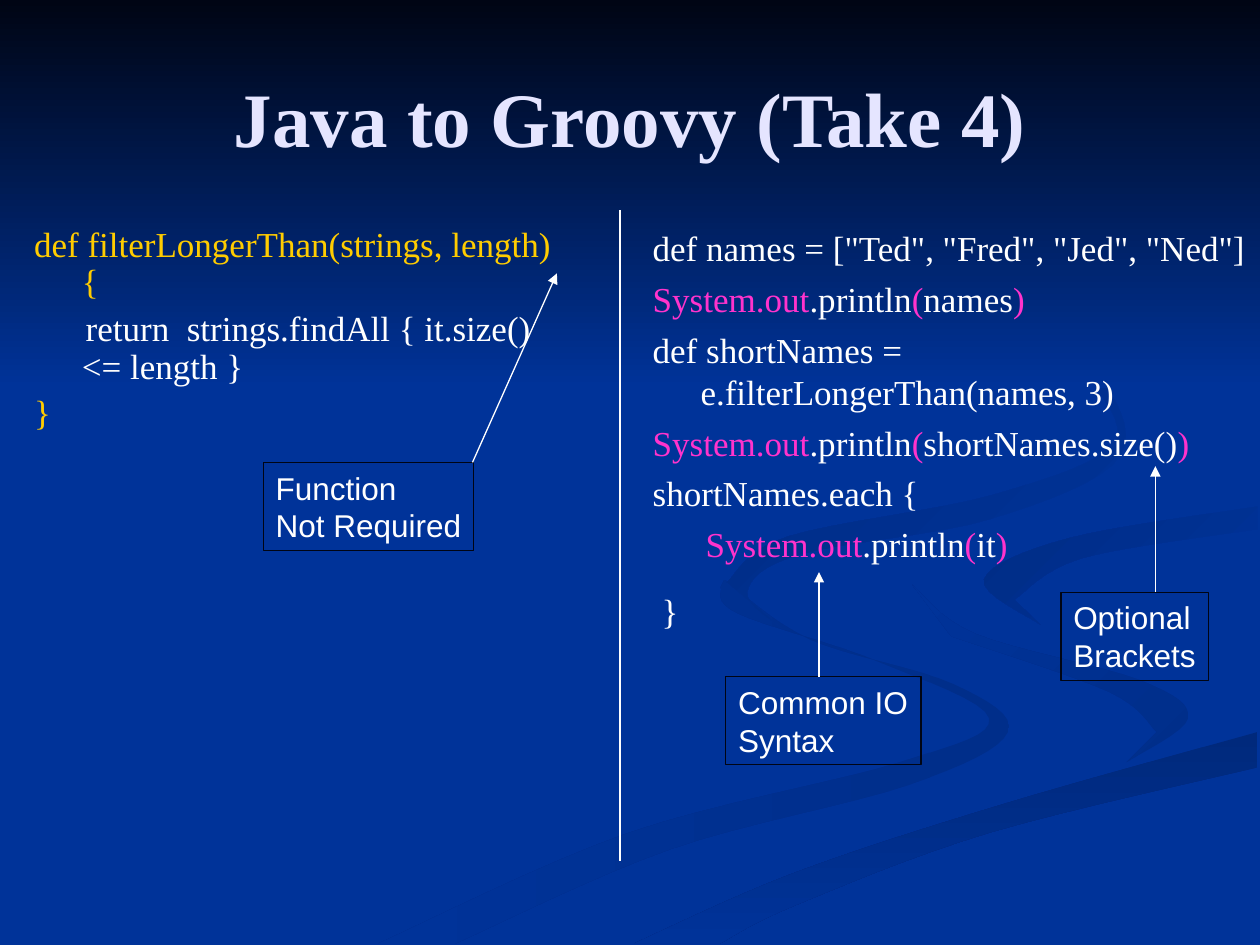
"""Build the slide that compares Java and Groovy code, with labelled arrows."""
from lxml import etree
from pptx import Presentation
from pptx.dml.color import RGBColor as Rgb
from pptx.enum.shapes import MSO_CONNECTOR as Link, MSO_SHAPE as Form
from pptx.enum.text import MSO_ANCHOR as Anchor, MSO_AUTO_SIZE as Fit, PP_ALIGN as Align
from pptx.oxml.ns import qn
from pptx.util import Inches, Pt

HUES = {
    "base": "003399", "night": "000514", "dusk": "002E8A", "deep": "00297C",
    "shade": "002C85", "fold": "002B81", "title": "E5E5FF", "white": "FFFFFF",
    "gold": "FFCC00", "pink": "FF33CC",
}
HUES = {name: Rgb.from_string(code) for name, code in HUES.items()}
HEAD = {"name": "Times New Roman", "size": Pt(44), "bold": True}
CODE = {"name": "Times New Roman", "size": Pt(20), "bold": False}
NOTE = {"name": "Arial", "size": Pt(18), "bold": False}


def write(frame, lines, style, form):
    for row, (first, runs) in enumerate(lines):
        para = frame.paragraphs[0] if row == 0 else frame.add_paragraph()
        for key, value in form.items():
            setattr(para, key, value)
        if first is not None:
            props = para._p.get_or_add_pPr()
            props.set("marL", str(Inches(0.38)))
            props.set("indent", str(Inches(first)))
            etree.SubElement(props, qn("a:buNone"))
        for text, hue in runs:
            run = para.add_run()
            run.text = text
            for key, value in style.items():
                setattr(run.font, key, value)
            run.font.color.rgb = HUES[hue]


def show(item):
    return [("System.out", "pink"), (".println", "white"), ("(", "pink"),
            (item, "white"), (")", "pink")]


deck = Presentation()
deck.slide_width, deck.slide_height = Inches(10), Inches(7.5)
slide = deck.slides.add_slide(deck.slide_layouts[3])
slide.background.fill.solid()
slide.background.fill.fore_color.rgb = HUES["base"]
title, left, right = slide.placeholders

ribbons = [
    ("dusk", "base", 180,
     [(5.75, 4.6), (6.42, 5.07), (7.57, 5.43), (8, 5.81), (7.21, 6.23), (5.32, 6.74), (3.61, 7.49)],
     [(3, 7.49), (4.99, 6.61), (7.14, 6.05), (7.85, 5.7), (6.97, 5.25), (5.86, 4.87), (5.72, 4.66)]),
    ("dusk", "base", 135,
     [(7.24, 4.64), (7.74, 5.03), (9.05, 5.4), (9.43, 5.7), (8.94, 6.05)],
     [(9.18, 5.81), (8.8, 5.49), (7.55, 5.05)]),
    ("deep", "base", 270,
     [(5.03, 7.49), (6.3, 6.93), (7.97, 6.38), (9.98, 5.81)],
     [(9.98, 6.09), (7.85, 6.61), (6.3, 7.19), (5.71, 7.49)]),
    ("base", "shade", 135,
     [(8.26, 4.96), (7.81, 4.6), (8.49, 4.27), (9.98, 4.02)],
     [(9.98, 4.2), (8.59, 4.43), (8.05, 4.76)]),
    ("base", "fold", 135,
     [(7.62, 2.33), (8.64, 2.91), (8.89, 3.62), (7.86, 4.12), (6.35, 4.4), (5.93, 4.7), (6.22, 5)],
     [(5.77, 4.62), (6.25, 4.26), (7.91, 3.92), (8.86, 3.48), (8.46, 2.79)]),
]
back = []
for start, end, angle, *edges in ribbons:
    spots = []
    for edge in edges:
        guide = [edge[0], *edge, edge[-1]]
        for a, b, c, d in zip(guide, guide[1:], guide[2:], guide[3:]):
            for step in range(8):
                t = step / 8
                spots.append(tuple(
                    Inches(q + t / 2 * (r - p + t * (2 * p - 5 * q + 4 * r - s
                                                     + t * (3 * q - p - 3 * r + s))))
                    for p, q, r, s in zip(a, b, c, d)))
        spots.append(tuple(map(Inches, edge[-1])))
    pen = slide.shapes.build_freeform(*spots[0])
    pen.add_line_segments(spots[1:])
    back.append((pen.convert_to_shape(), start, end, angle))
sky = slide.shapes.add_shape(Form.RECTANGLE, 0, 0, Inches(10), Inches(3.08))
back.append((sky, "night", "base", 270))
for shape, start, end, angle in back:
    shape.shadow.inherit = False
    shape.line.fill.background()
    shape.fill.gradient()
    shape.fill.gradient_angle = angle
    for stop, hue in zip(shape.fill.gradient_stops, (start, end)):
        stop.color.rgb = HUES[hue]
    title._element.addprevious(shape._element)

places = [(title, 0.5, 0.3, 9, 1.25), (left, 0.17, 1.75, 4.42, 4.95),
          (right, 5.08, 1.75, 4.92, 4.95)]
for holder, *box in places:
    holder.left, holder.top, holder.width, holder.height = map(Inches, box)
    holder.text_frame.auto_size = Fit.NONE
    holder.text_frame.word_wrap = True
title.text_frame.vertical_anchor = Anchor.MIDDLE

write(title.text_frame, [(None, [("Java to Groovy (Take 4)", "title")])], HEAD,
      {"alignment": Align.CENTER})
write(left.text_frame, [
    (-0.38, [("def filterLongerThan(strings, length) {", "gold")]),
    (0.03, [("return  strings.findAll { it.size() <= length }", "white")]),
    (-0.38, [("}", "gold")]),
], CODE, {"line_spacing": 0.9, "space_before": Pt(5)})
write(right.text_frame, [
    (-0.38, [('def names = ["Ted", "Fred", "Jed", "Ned"]', "white")]),
    (-0.38, show("names")),
    (-0.38, [("def shortNames = e.filterLongerThan(names, 3)", "white")]),
    (-0.38, show("shortNames.size()")),
    (-0.38, [("shortNames.each {", "white")]),
    (0.04, show("it")),
    (-0.31, [("}", "white")]),
], CODE, {"space_before": Pt(5)})
right.text_frame.paragraphs[-1].space_before = Pt(14)

notes = [
    (2.09, 3.67, 1.67, ["Function", "Not Required"]),
    (8.42, 4.7, 1.17, ["Optional", "Brackets"]),
    (5.76, 5.37, 1.55, ["Common IO", "Syntax"]),
]
for x, y, width, words in notes:
    note = slide.shapes.add_textbox(Inches(x), Inches(y), Inches(width), Inches(0.7))
    note.line.color.rgb = HUES["night"]
    note.line.width = Pt(0.75)
    note.text_frame.word_wrap = False
    note.text_frame.auto_size = Fit.SHAPE_TO_FIT_TEXT
    write(note.text_frame, [(None, [(word, "white")]) for word in words], NOTE,
          {"alignment": Align.LEFT})

lines = [
    (4.92, 1.67, 4.92, 6.83, False),
    (3.75, 3.67, 4.42, 2.17, True),
    (9.17, 4.7, 9.17, 3.7, True),
    (6.5, 5.37, 6.5, 4.54, True),
]
for *ends, arrow in lines:
    line = slide.shapes.add_connector(Link.STRAIGHT, *map(Inches, ends))
    line.line.color.rgb = HUES["white"]
    line.line.width = Pt(0.75)
    if arrow:
        etree.SubElement(line.line._get_or_add_ln(), qn("a:tailEnd"), type="triangle")
    etree.SubElement(line._element.spPr, qn("a:effectLst"))

deck.save("out.pptx")
